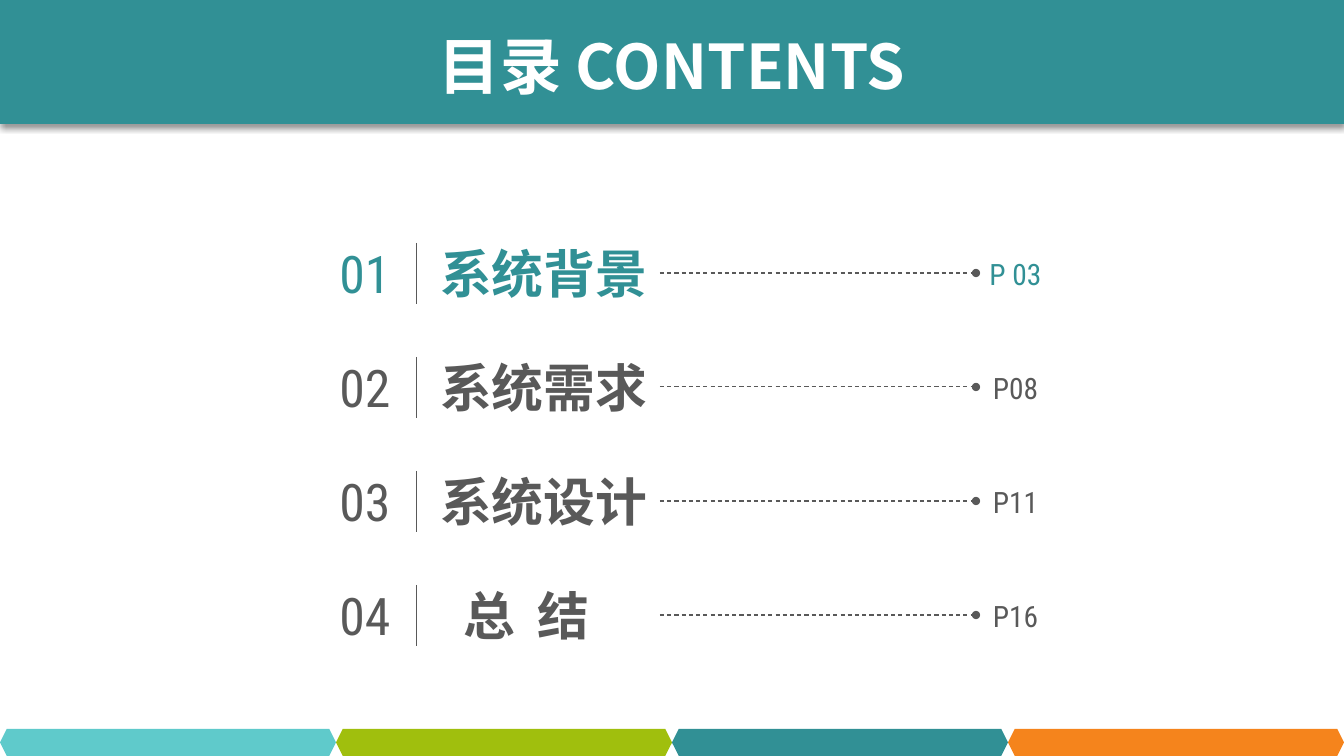
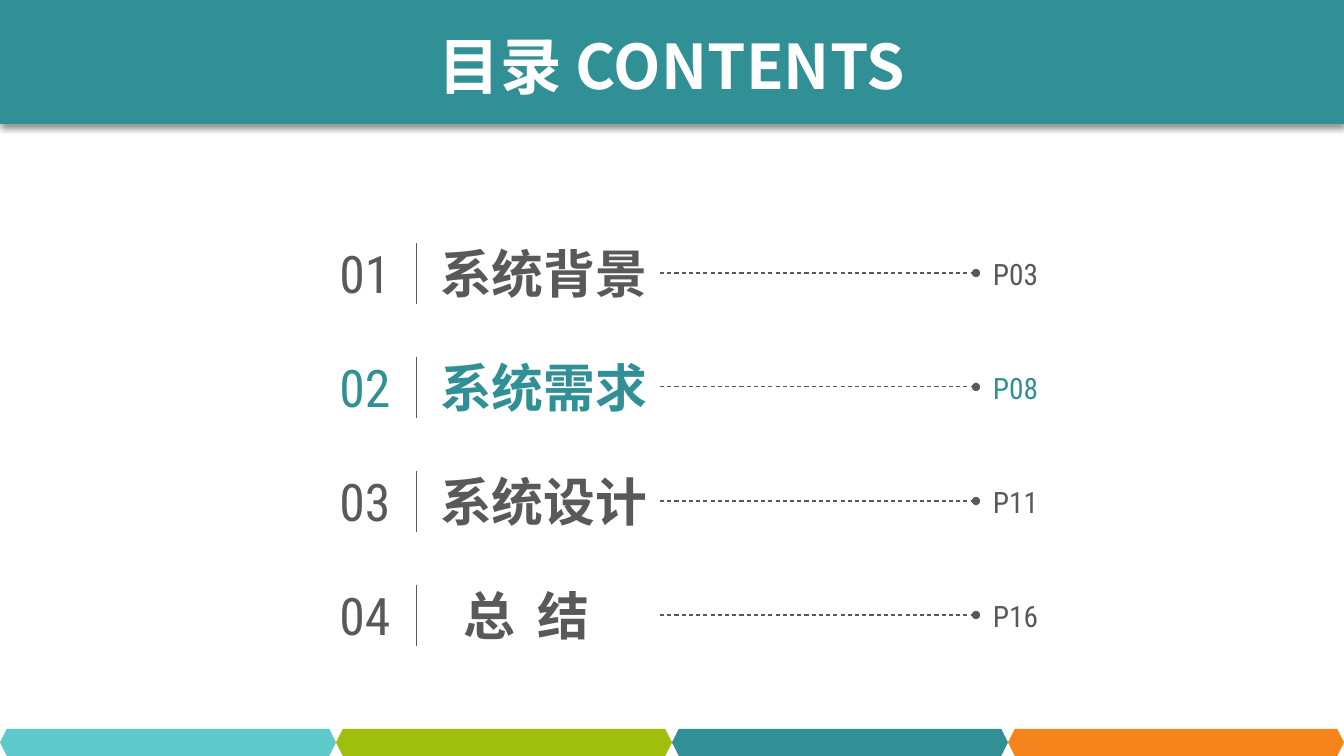
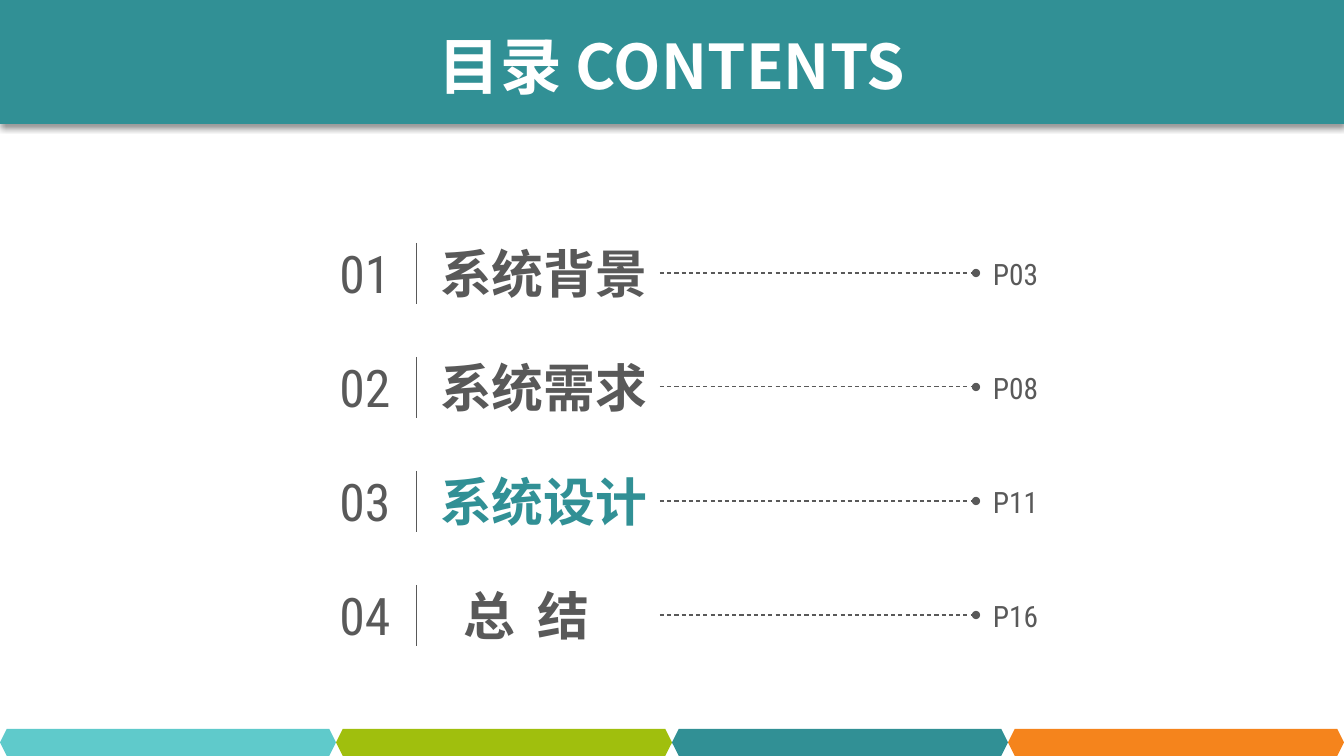
from dataclasses import dataclass

from pptx import Presentation
from pptx.dml.color import RGBColor
from pptx.enum.dml import MSO_LINE
from pptx.enum.shapes import MSO_CONNECTOR, MSO_SHAPE
from pptx.enum.text import MSO_AUTO_SIZE, PP_ALIGN
from pptx.oxml.ns import qn
from pptx.oxml.xmlchemy import OxmlElement
from pptx.util import Emu, Pt

WIDE, HIGH = 1344, 756
SCALE = 12192000 / WIDE


@dataclass(frozen=True)
class Theme:
    teal: str = "319095"
    gray: str = "595959"
    white: str = "FFFFFF"
    black: str = "000000"
    strip: tuple = ("5FCACB", "A0BF0D", "319095", "F5841C")
    cjk: str = "Noto Sans CJK SC"
    thin: str = "Roboto Condensed"
    title: int = 44
    item: int = 37
    page: int = 21
    rule: float = 0.75


THEME = Theme()

# Label, page, indent in px, letter spacing in hundredths of a point
ITEMS = (
    ("系统背景", "P03", 0, 0),
    ("系统需求", "P08", 0, 0),
    ("系统设计", "P11", 0, 0),
    ("总 结", "P16", 23, 400),
)
TOP, PITCH = 235, 114


def px(num):
    return Emu(round(num * SCALE))


def color(code):
    return RGBColor.from_string(code)


def node(parent, tag, **attrs):
    child = OxmlElement(tag)
    for key, value in attrs.items():
        child.set(key, str(value))
    parent.append(child)
    return child


# Element kinds
def text(slide, box, words, size, tint, face, bold=False, center=True,
         inset=(13, 7), wrap=True, indent=0, track=0):
    frame = slide.shapes.add_textbox(*map(px, box)).text_frame
    frame.word_wrap = wrap
    frame.auto_size = MSO_AUTO_SIZE.SHAPE_TO_FIT_TEXT
    frame.margin_left = frame.margin_right = px(inset[0])
    frame.margin_top = frame.margin_bottom = px(inset[1])
    para = frame.paragraphs[0]
    para.alignment = PP_ALIGN.CENTER if center else PP_ALIGN.LEFT
    font = para.font
    font.size, font.bold, font.name = Pt(size), bold, face
    font.color.rgb = color(tint)
    node(para.font._element, "a:ea", typeface=face)
    run = para.add_run()
    run.text = words
    if indent:
        para._p.get_or_add_pPr().set("marL", str(px(indent)))
    if track:
        run._r.get_or_add_rPr().set("spc", str(track))


def line(slide, start, end, dotted=False):
    link = slide.shapes.add_connector(
        MSO_CONNECTOR.STRAIGHT, *map(px, start + end))
    link.line.color.rgb = color(THEME.gray)
    link.line.width = Pt(THEME.rule)
    props = link._element.spPr
    if dotted:
        link.line.dash_style = MSO_LINE.DASH
        node(props.find(qn("a:ln")), "a:tailEnd", type="oval")
    node(props, "a:effectLst")


def block(shapes, kind, box, tint):
    shape = shapes.add_shape(kind, *map(px, box))
    shape.shadow.inherit = False
    shape.fill.solid()
    shape.fill.fore_color.rgb = color(tint)
    shape.line.fill.background()
    return shape


def shade(shape):
    effects = shape._element.spPr.find(qn("a:effectLst"))
    outer = node(effects, "a:outerShdw", blurRad=Pt(4), dist=Pt(3),
                 dir=90 * 60000, algn="t", rotWithShape=0)
    tint = node(outer, "a:srgbClr", val=THEME.black)
    node(tint, "a:alpha", val=40000)


# Shared header and footer
def header(slide):
    shade(block(slide.shapes, MSO_SHAPE.RECTANGLE, (0, 0, WIDE, 124),
                THEME.teal))
    text(slide, (416, 23, 512, 85), "目录 CONTENTS", THEME.title,
         THEME.white, THEME.cjk, bold=True, inset=(10, 5), wrap=False)


def footer(slide):
    group = slide.shapes.add_group_shape()
    step = WIDE // len(THEME.strip)
    for col, tint in enumerate(THEME.strip):
        block(group.shapes, MSO_SHAPE.HEXAGON,
              (col * step, HIGH - 27, step, 27), tint)


# One line of the agenda
def entry(slide, row, tints, page):
    label, _, indent, track = ITEMS[row]
    top = TOP + row * PITCH
    text(slide, (321, top, 88, 77), f"{row + 1:02}", THEME.item,
         tints[0], THEME.thin)
    line(slide, (417, top + 8), (417, top + 69))
    text(slide, (427, top, 370, 77), label, THEME.item, tints[1],
         THEME.cjk, bold=True, center=False, indent=indent, track=track)
    line(slide, (660, top + 38), (976, top + 38), dotted=True)
    text(slide, (967, top + 14, 97, 49), page, THEME.page, tints[2],
         THEME.thin)


def agenda(deck, active, tints, page):
    slide = deck.slides.add_slide(deck.slide_layouts[6])
    for row, item in enumerate(ITEMS):
        if row == active:
            entry(slide, row, tints, page)
        else:
            entry(slide, row, (THEME.gray,) * 3, item[1])
    header(slide)
    footer(slide)


def main():
    deck = Presentation()
    deck.slide_width, deck.slide_height = px(WIDE), px(HIGH)
    full = (THEME.teal,) * 3
    agenda(deck, 0, full, "P 03")
    agenda(deck, 1, full, "P08")
    agenda(deck, 2, (THEME.gray, THEME.teal, THEME.gray), "P11")
    deck.save("out.pptx")


if __name__ == "__main__":
    main()
